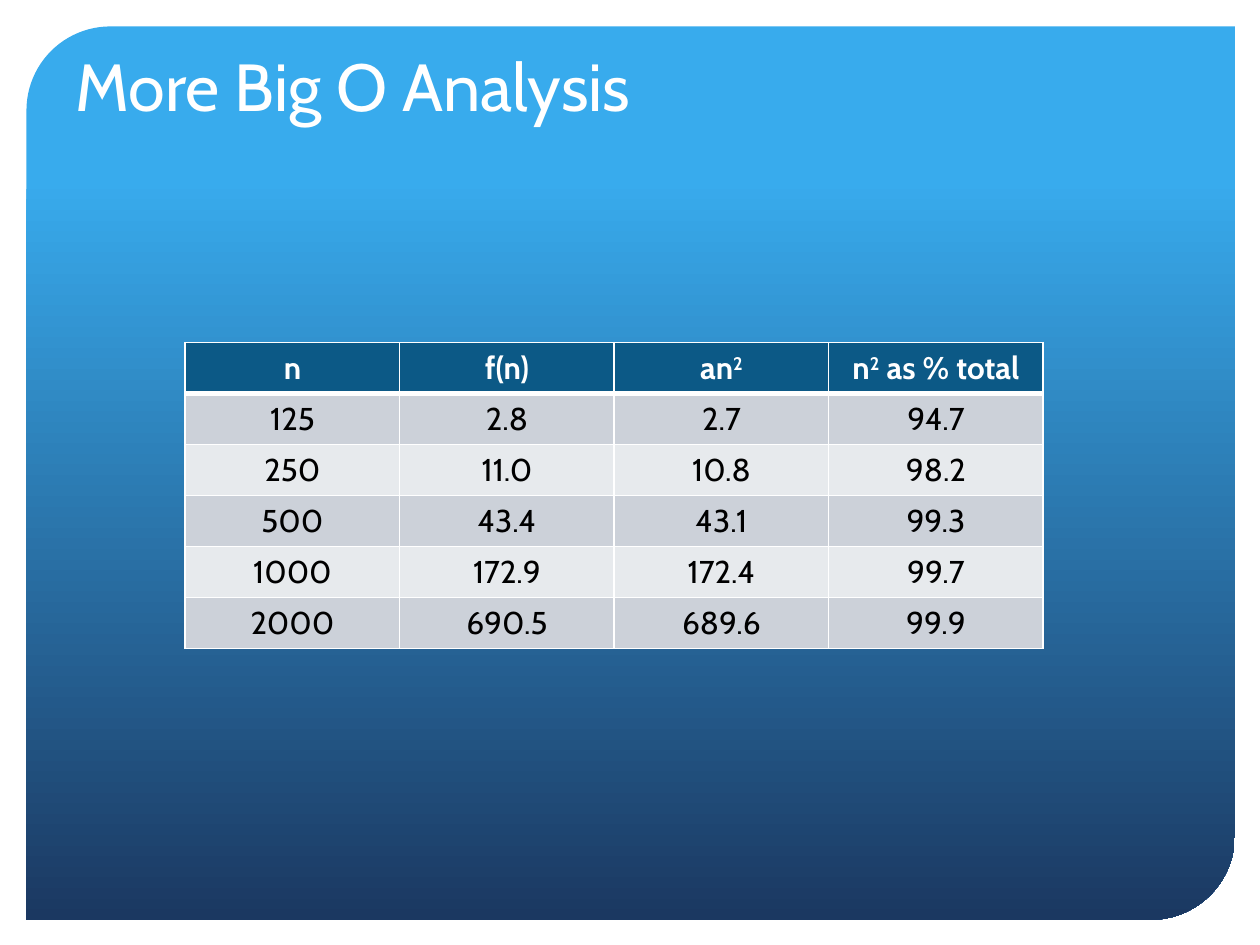
import dataclasses

import lxml.etree
import pptx
import pptx.dml.color
import pptx.enum.shapes
import pptx.enum.text
import pptx.oxml.ns
import pptx.util

Inches = pptx.util.Inches
Pt = pptx.util.Pt
Align = pptx.enum.text.PP_ALIGN
Anchor = pptx.enum.text.MSO_ANCHOR


@dataclasses.dataclass(frozen=True)
class Theme:
    font: str = "Cabin"
    white: str = "FFFFFF"
    black: str = "000000"
    sky: str = "38ABED"
    navy: str = "1B3861"
    head: str = "0C5986"
    bands: tuple = ("CCD1D9", "E7EAED")
    title: int = 38
    body: int = 18
    thin: int = 1
    thick: int = 3


THEME = Theme()

ROWS = [
    ("n", "f(n)", "an^2^", "n^2^ as % total"),
    ("125", "2.8", "2.7", "94.7"),
    ("250", "11.0", "10.8", "98.2"),
    ("500", "43.4", "43.1", "99.3"),
    ("1000", "172.9", "172.4", "99.7"),
    ("2000", "690.5", "689.6", "99.9"),
]


def rgb(code):
    return pptx.dml.color.RGBColor.from_string(code)


def write(frame, text, *, size, color, bold=False, align=Align.LEFT):
    para = frame.paragraphs[0]
    para.alignment = align
    for index, part in enumerate(text.split("^")):
        if not part:
            continue
        run = para.add_run()
        run.text = part
        run.font.name = THEME.font
        run.font.size = Pt(size)
        run.font.bold = bold
        run.font.color.rgb = rgb(color)
        if index % 2:
            run._r.get_or_add_rPr().set("baseline", "30000")


def panel(slide):
    shape = slide.shapes.add_shape(
        pptx.enum.shapes.MSO_SHAPE.ROUND_2_DIAG_RECTANGLE,
        Inches(0.21), Inches(0.21), Inches(9.59), Inches(7.09))
    shape.shadow.inherit = False
    shape.adjustments[0] = 0.094
    shape.adjustments[1] = 0
    shape.line.fill.background()
    shape.fill.gradient()
    shape.fill.gradient_angle = 270
    stops = ((0.17, THEME.sky), (1, THEME.navy))
    for stop, (place, color) in zip(shape.fill.gradient_stops, stops):
        stop.position = place
        stop.color.rgb = rgb(color)


def title(slide, text):
    box = slide.shapes.add_textbox(
        Inches(0.5), Inches(0.3), Inches(9.18), Inches(0.74))
    box.text_frame.word_wrap = True
    box.text_frame.vertical_anchor = Anchor.BOTTOM
    write(box.text_frame, text, size=THEME.title, color=THEME.white)


def border(cell, side, width):
    qn = pptx.oxml.ns.qn
    props = cell._tc.get_or_add_tcPr()
    line = lxml.etree.SubElement(props, qn(f"a:ln{side}"), w=str(Pt(width)))
    fill = lxml.etree.SubElement(line, qn("a:solidFill"))
    lxml.etree.SubElement(fill, qn("a:srgbClr"), val=THEME.white)


def table(slide, rows):
    grid = slide.shapes.add_table(
        len(rows), len(rows[0]),
        Inches(1.47), Inches(2.72), Inches(6.81), Inches(2.43)).table
    for r, row in enumerate(rows):
        head = r == 0
        for c, text in enumerate(row):
            cell = grid.cell(r, c)
            for side in "LRTB":
                heavy = (r, side) in ((0, "B"), (1, "T"))
                border(cell, side, THEME.thick if heavy else THEME.thin)
            cell.fill.solid()
            cell.fill.fore_color.rgb = rgb(
                THEME.head if head else THEME.bands[(r - 1) % 2])
            write(cell.text_frame, text, size=THEME.body, bold=head,
                  color=THEME.white if head else THEME.black,
                  align=Align.CENTER)


def main():
    deck = pptx.Presentation()
    deck.slide_width = Inches(10)
    deck.slide_height = Inches(7.5)
    slide = deck.slides.add_slide(deck.slide_layouts[6])
    panel(slide)
    title(slide, "More Big O Analysis")
    table(slide, ROWS)
    deck.save("out.pptx")


if __name__ == "__main__":
    main()
